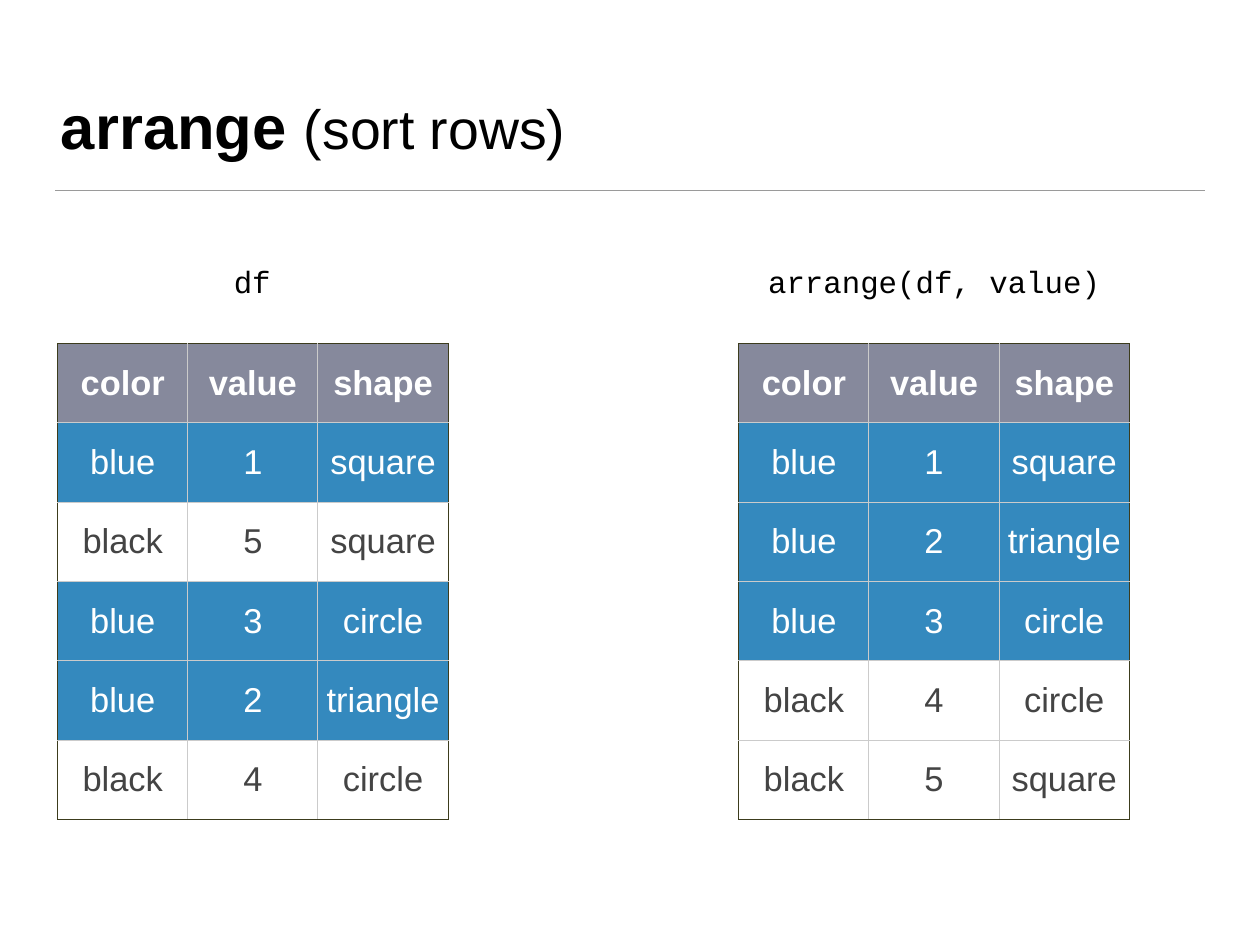
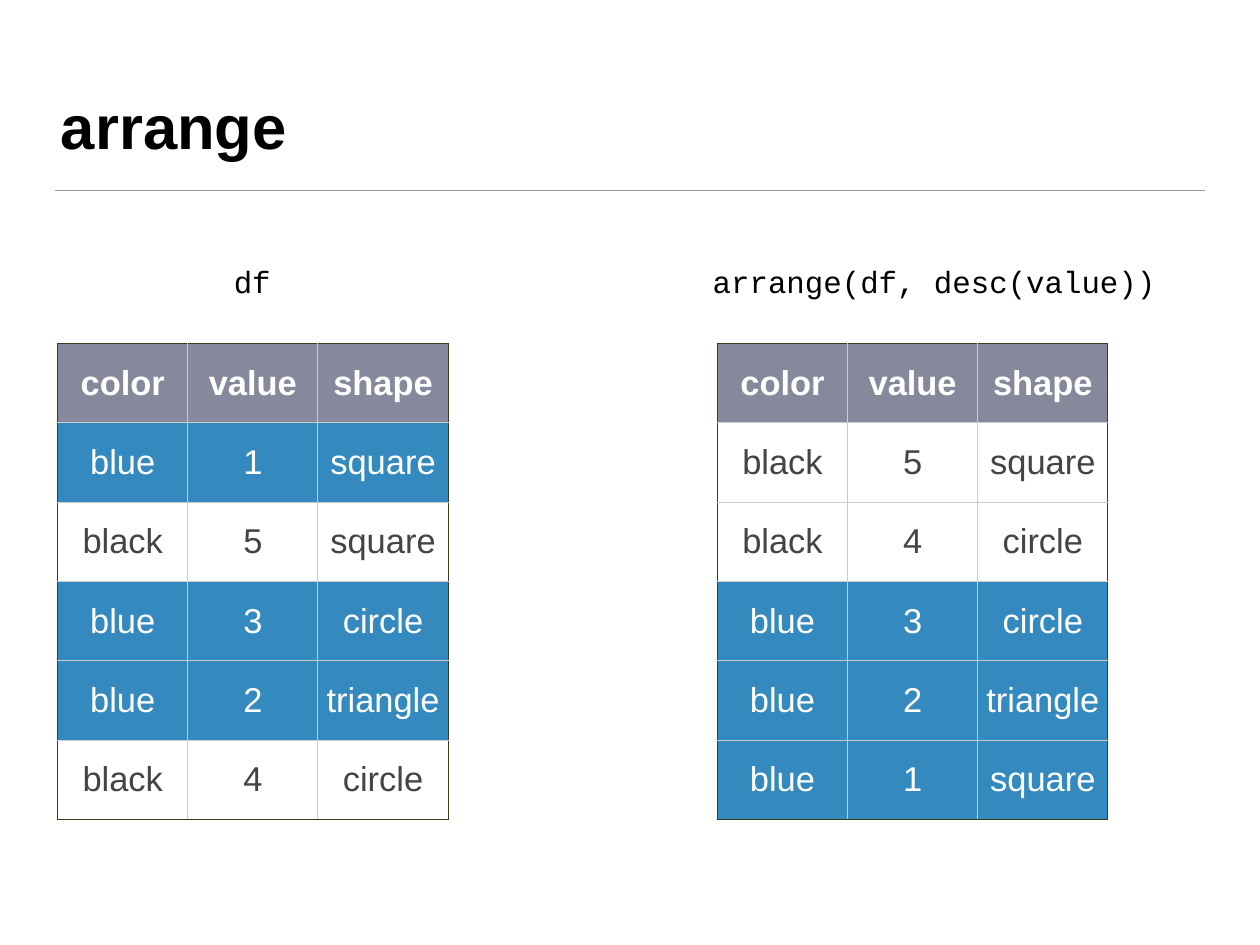
"""Builds two slides that show how arrange() sorts the rows of a table."""
from lxml.etree import SubElement
from pptx import Presentation
from pptx.dml.color import RGBColor
from pptx.enum.shapes import MSO_CONNECTOR
from pptx.enum.text import MSO_ANCHOR, PP_ALIGN
from pptx.oxml.ns import qn
from pptx.util import Pt

BLACK, WHITE, DARK_GRAY = "000000", "FFFFFF", "444444"
RULE, HEADER, BLUE = "9A9A9A", "86899C", "3489BE"
FRAME, GRID = "3C3C1D", "CBCBCB"
SANS, MONO = "Arial", "Courier New"
INSET = 4.5

COLUMNS = ("color", "value", "shape")
DATA = (
    ("blue", 1, "square"),
    ("black", 5, "square"),
    ("blue", 3, "circle"),
    ("blue", 2, "triangle"),
    ("black", 4, "circle"),
)
COLUMN_WIDTH, ROW_HEIGHT, TABLE_TOP = 105.8, 64.5, 279.2
DATA_LEFT, DATA_CENTER, RESULT_CENTER = 46.8, 205, 759


def color(value):
    """Return the colour for a hex string."""
    return RGBColor.from_string(value)


def add_run(para, text, size, font, shade, bold=False):
    """Append one formatted run to a paragraph."""
    span = para.add_run()
    span.text = text
    span.font.size = Pt(size)
    span.font.name = font
    span.font.bold = bold
    span.font.color.rgb = color(shade)


def add_box(page, left, top, width, height, anchor, wrap):
    """Add a text box and return its first paragraph."""
    frame = page.shapes.add_textbox(Pt(left), Pt(top), Pt(width), Pt(height)).text_frame
    frame.margin_left = frame.margin_right = Pt(INSET)
    frame.margin_top = frame.margin_bottom = Pt(INSET)
    frame.vertical_anchor = anchor
    frame.word_wrap = wrap
    return frame.paragraphs[0]


def add_page(deck, title, subtitle):
    """Add a blank page with the shared rule and title."""
    page = deck.slides.add_slide(deck.slide_layouts[6])
    rule = page.shapes.add_connector(
        MSO_CONNECTOR.STRAIGHT, Pt(45), Pt(155), Pt(979), Pt(155))
    rule.line.color.rgb = color(RULE)
    rule.line.width = Pt(1)
    SubElement(rule.element.spPr, qn("a:effectLst"))
    para = add_box(page, 45, 26, 934, 110, MSO_ANCHOR.BOTTOM, True)
    if subtitle:
        add_run(para, title + " ", 50, SANS, BLACK, True)
        add_run(para, subtitle, 45, SANS, BLACK)
    else:
        add_run(para, title, 50, SANS, BLACK, True)
    return page


def add_code(page, center, text):
    """Add a line of code centred on a given position."""
    width = 15 * len(text) + 2 * INSET
    para = add_box(page, center - width / 2, 209, width, 39, MSO_ANCHOR.MIDDLE, False)
    para.alignment = PP_ALIGN.CENTER
    add_run(para, text, 25, MONO, BLACK)


def add_borders(cell, outer_sides):
    """Draw frame lines on the outer sides and grid lines on the others."""
    properties = cell._tc.get_or_add_tcPr()
    for side in "LRTB":
        line = SubElement(properties, qn(f"a:ln{side}"), w=str(Pt(1)))
        fill = SubElement(line, qn("a:solidFill"))
        SubElement(fill, qn("a:srgbClr"), val=FRAME if side in outer_sides else GRID)


def fill_cell(cell, text, back, shade, bold):
    """Set the fill and the centred text of a cell."""
    if back:
        cell.fill.solid()
        cell.fill.fore_color.rgb = color(back)
    else:
        cell.fill.background()
    cell.margin_left = cell.margin_right = Pt(INSET)
    cell.margin_top = cell.margin_bottom = Pt(INSET)
    cell.vertical_anchor = MSO_ANCHOR.MIDDLE
    para = cell.text_frame.paragraphs[0]
    para.alignment = PP_ALIGN.CENTER
    add_run(para, text, 28, SANS, shade, bold)


def add_data_table(page, left, records):
    """Add a table whose rows take the colour they name."""
    rows = (COLUMNS, *records)
    last_row, last_column = len(rows) - 1, len(COLUMNS) - 1
    table = page.shapes.add_table(
        len(rows), len(COLUMNS), Pt(left), Pt(TABLE_TOP),
        Pt(COLUMN_WIDTH * len(COLUMNS)), Pt(ROW_HEIGHT * len(rows))).table
    table.horz_banding = False
    for column in table.columns:
        column.width = Pt(COLUMN_WIDTH)
    styles = {"color": (HEADER, WHITE, True), "blue": (BLUE, WHITE, False),
              "black": (None, DARK_GRAY, False)}
    for row_index, values in enumerate(rows):
        table.rows[row_index].height = Pt(ROW_HEIGHT)
        for column_index, value in enumerate(values):
            cell = table.cell(row_index, column_index)
            edges = {"L": column_index == 0, "R": column_index == last_column,
                     "T": row_index == 0, "B": row_index == last_row}
            add_borders(cell, [side for side, outer in edges.items() if outer])
            fill_cell(cell, str(value), *styles[values[0]])


def add_arrange_page(deck, subtitle, call, result_left, descending):
    """Add a page with the data beside its sorted rows."""
    page = add_page(deck, "arrange", subtitle)
    add_code(page, RESULT_CENTER, call)
    add_code(page, DATA_CENTER, "df")
    add_data_table(page, DATA_LEFT, DATA)
    ordered = sorted(DATA, key=lambda record: record[1], reverse=descending)
    add_data_table(page, result_left, ordered)


def main():
    """Build and save the deck."""
    deck = Presentation()
    deck.slide_width, deck.slide_height = Pt(1024), Pt(768)
    add_arrange_page(deck, "(sort rows)", "arrange(df, value)", 600.4, False)
    add_arrange_page(deck, None, "arrange(df, desc(value))", 583, True)
    deck.save("out.pptx")


if __name__ == "__main__":
    main()
